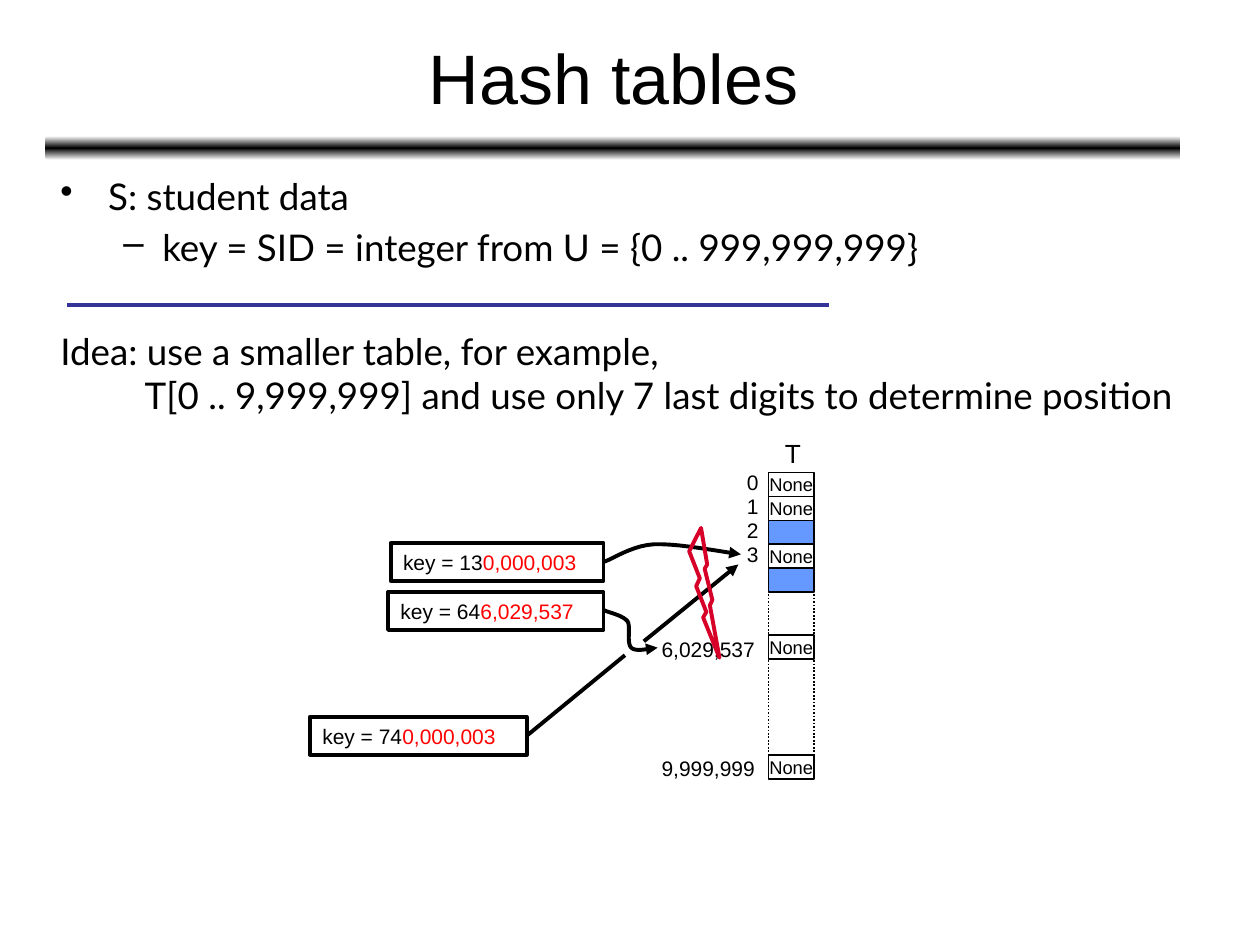
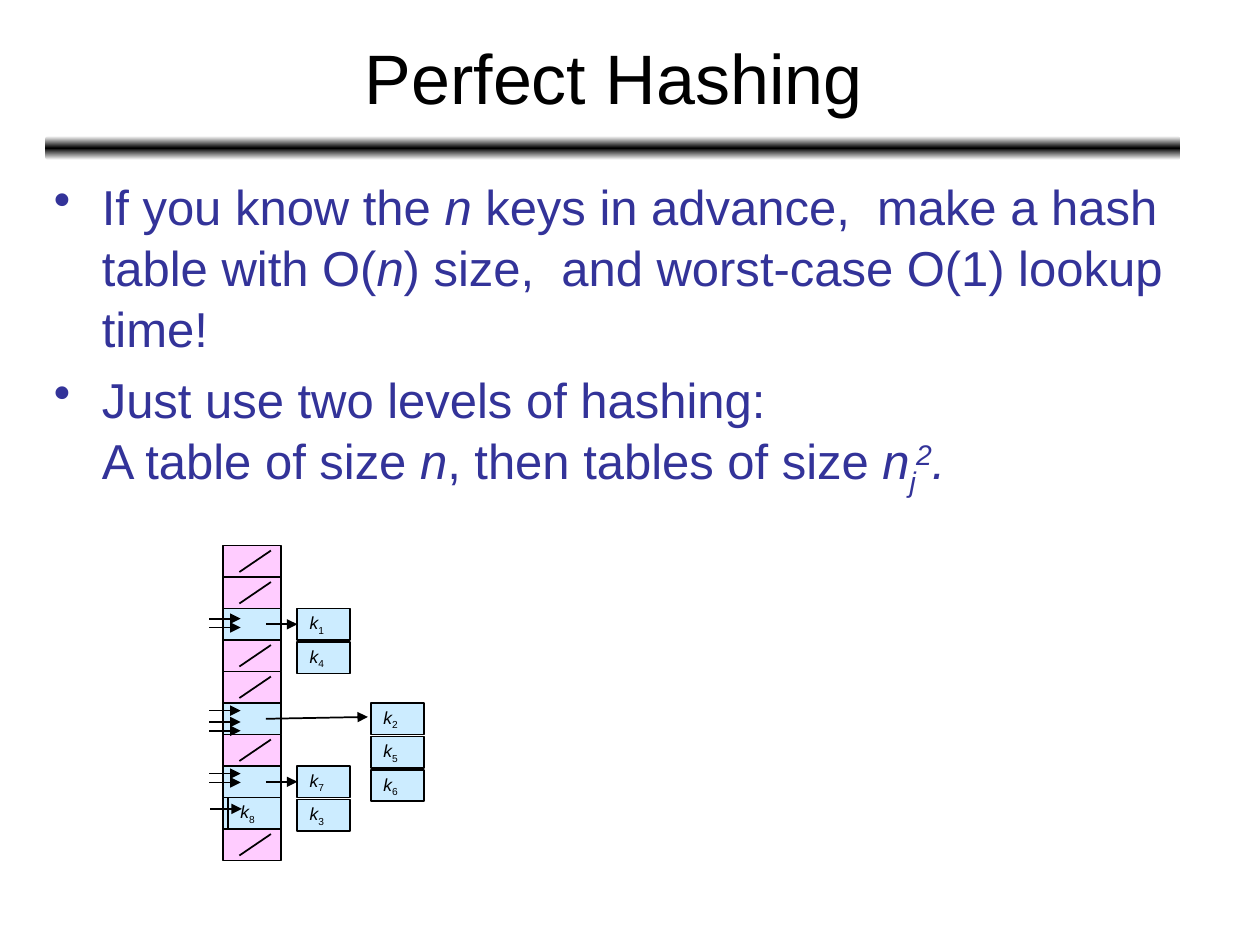
"""Build two slides on hash tables and perfect hashing, laid out on a 100 by 75 grid."""
from copy import deepcopy
from dataclasses import dataclass
from typing import NamedTuple, Optional

from lxml import etree
from pptx import Presentation
from pptx import util as u
from pptx.dml.color import RGBColor
from pptx.enum import dml, shapes, text
from pptx.oxml.ns import qn

COLUMNS = 100
WIDTH, HEIGHT = u.Inches(10), u.Inches(7.5)
TITLE_ONLY = 5


@dataclass(frozen=True)
class Theme:
    """Colours, fonts, type sizes and line widths shared by the slides."""
    ink: str = "000000"
    paper: str = "FFFFFF"
    indigo: str = "333399"
    digits: str = "FF0000"
    bolt: str = "D60029"
    occupied: str = "6699FF"
    empty: str = "FFCCFF"
    used: str = "CCECFF"
    sans: str = "Arial"
    humanist: str = "Lato"
    title: float = 40
    points: float = 28
    idea: float = 21
    heading: float = 15
    label: float = 12
    slot: float = 10.5
    key: float = 10
    thin: float = 1
    thick: float = 2.25


THEME = Theme()


class Box(NamedTuple):
    """A rectangle in grid columns and rows."""
    left: float
    top: float
    width: float
    height: float


class Point(NamedTuple):
    """A place in grid columns and rows."""
    x: float
    y: float


class Style(NamedTuple):
    """The look of a run of text."""
    size: float
    color: str = THEME.ink
    font: str = THEME.sans


class Run(NamedTuple):
    """A piece of text with its deviations from the paragraph's style."""
    words: str
    color: Optional[str] = None
    italic: bool = False
    baseline: int = 0


class Para(NamedTuple):
    """A paragraph with its indents in columns and its spacing in points."""
    runs: list
    margin: float = 0
    hang: float = 0
    bullet: str = ""
    before: float = 0
    spacing: float = 1.0


class Slot(NamedTuple):
    """A cell of table T, placed in slot heights below the first."""
    row: float
    value: str
    index: str


class KeyCard(NamedTuple):
    """A key whose last seven digits give the position."""
    box: Box
    prefix: str
    suffix: str


class Bucket(NamedTuple):
    """A used row of the first-level table with its second-level keys."""
    row: int
    left: float
    keys: str
    arrivals: tuple
    arrival_x: float = 16.6
    pointer_end: Optional[Point] = None


SLOT = Box(61, 37.5, 3.6, 1.9)
SLOTS = [Slot(0, "None", "0"), Slot(1, "None", "1"), Slot(2, "", "2"),
         Slot(3, "None", "3"), Slot(4, "", ""), Slot(6.79, "None", "6,029,537"),
         Slot(11.79, "None", "9,999,999")]
CARDS = [KeyCard(Box(30.8, 47, 17.1, 3), "64", "6,029,537"),
         KeyCard(Box(31, 43.1, 16.9, 3), "13", "0,000,003"),
         KeyCard(Box(24.6, 56.9, 17.2, 3), "74", "0,000,003")]
CURVES = [
    [Point(47.9, 48.4), Point(48.2, 48.6), Point(49.4, 48.8), Point(49.8, 49.3),
     Point(50.1, 49.7), Point(49.7, 51), Point(50.1, 51.4),
     Point(50.5, 51.8), Point(51.7, 51.4), Point(52.2, 51.4)],
    [Point(47.9, 44.6), Point(48.6, 44.4), Point(50.1, 43.3), Point(51.9, 43.2),
     Point(53.7, 43.1), Point(57.3, 43.8), Point(58.8, 44)]]

FIRST_LEVEL = Box(17.7, 43.3, 4.6, 2.5)
FIRST_LEVEL_ROWS = 10
KEY_WIDTH, KEY_PITCH = 4.2, 2.65
BUCKETS = [Bucket(2, 23.6, "14", (49.1, 49.8)),
           Bucket(5, 29.45, "256", (56.4, 57.3, 58), pointer_end=Point(29.2, 56.9)),
           Bucket(7, 23.6, "73", (61.4, 62.1)),
           Bucket(8, 18.1, "8", (64.2,), 16.7)]


def grid(length: float) -> int:
    """Turn grid units into EMU."""
    return round(length * WIDTH / COLUMNS)


def place(box: Box) -> list[int]:
    """Turn a grid box into left, top, width and height in EMU."""
    return [grid(length) for length in box]


def write(frame, paras: list[Para], style: Style, align=None, anchor=text.MSO_ANCHOR.TOP,
          wrap: bool = True, insets: tuple = (1, 0.5)) -> None:
    """Fill a text frame, run by run."""
    frame.word_wrap, frame.auto_size = wrap, text.MSO_AUTO_SIZE.NONE
    frame.vertical_anchor = anchor
    frame.margin_left = frame.margin_right = grid(insets[0])
    frame.margin_top = frame.margin_bottom = grid(insets[1])
    for number, para in enumerate(paras):
        line = frame.add_paragraph() if number else frame.paragraphs[0]
        line.alignment = align or text.PP_ALIGN.LEFT
        line.line_spacing, line.space_before = para.spacing, u.Pt(para.before)
        properties = line._p.get_or_add_pPr()
        properties.set("marL", str(grid(para.margin)))
        properties.set("indent", str(grid(para.hang)))
        if para.bullet:
            etree.SubElement(properties, qn("a:buChar")).set("char", para.bullet)
        for piece in para.runs:
            if piece.words == "\n":
                line.add_line_break()
                continue
            run = line.add_run()
            run.text = piece.words
            run.font.name, run.font.size = style.font, u.Pt(style.size)
            run.font.italic = piece.italic
            run.font.color.rgb = RGBColor.from_string(piece.color or style.color)
            if piece.baseline:
                run._r.get_or_add_rPr().set("baseline", str(piece.baseline * 1000))


def add_text(slide, box: Box, paras: list[Para], style: Style, **options) -> None:
    """Add a text box."""
    write(slide.shapes.add_textbox(*place(box)).text_frame, paras, style, **options)


def outline(shape, color: str, width: float, arrow: bool = False) -> None:
    """Set a line's colour and width and, if wanted, its arrowhead."""
    shape.line.color.rgb = RGBColor.from_string(color)
    shape.line.width = u.Pt(width)
    if arrow:
        line = shape.element.spPr.find(qn("a:ln"))
        etree.SubElement(line, qn("a:tailEnd")).set("type", "triangle")


def add_preset(slide, box: Box, fill: Optional[str] = None, color: str = THEME.ink,
               width: float = THEME.thin, kind=shapes.MSO_SHAPE.RECTANGLE):
    """Add an outlined preset shape without a shadow."""
    shape = slide.shapes.add_shape(kind, *place(box))
    shape.shadow.inherit = False
    if fill:
        shape.fill.solid()
        shape.fill.fore_color.rgb = RGBColor.from_string(fill)
    else:
        shape.fill.background()
    outline(shape, color, width)
    return shape


def add_line(slide, start: Point, end: Point, color: str = THEME.ink,
             width: float = THEME.thin, arrow: bool = False, dotted: bool = False):
    """Add a straight connector without a shadow."""
    line = slide.shapes.add_connector(shapes.MSO_CONNECTOR.STRAIGHT,
                                      *(grid(length) for length in (*start, *end)))
    if dotted:
        line.line.dash_style = dml.MSO_LINE.ROUND_DOT
    outline(line, color, width, arrow)
    etree.SubElement(line.element.spPr, qn("a:effectLst"))
    return line


def add_curve(slide, controls: list[Point], steps: int = 10) -> None:
    """Draw a chain of cubic curves that ends in an arrowhead."""
    trail = []
    for first in range(0, len(controls) - 1, 3):
        a, b, c, d = controls[first:first + 4]
        for step in range(1, steps + 1):
            t = step / steps
            weights = ((1 - t) ** 3, 3 * t * (1 - t) ** 2, 3 * t * t * (1 - t), t ** 3)
            trail.append(tuple(grid(sum(w * p[axis] for w, p in zip(weights, (a, b, c, d))))
                               for axis in (0, 1)))
    builder = slide.shapes.build_freeform(grid(controls[0].x), grid(controls[0].y))
    builder.add_line_segments(trail, close=False)
    curve = builder.convert_to_shape()
    curve.shadow.inherit = False
    curve.fill.background()
    outline(curve, THEME.ink, THEME.thick, arrow=True)


def start_slide(deck, heading: str):
    """Add a slide with the shared band and title."""
    slide = deck.slides.add_slide(deck.slide_layouts[TITLE_ONLY])
    title = slide.shapes.title
    title.left, title.top, title.width, title.height = place(Box(3.7, 1.1, 90, 9.9))
    write(title.text_frame, [Para([Run(heading)])], Style(THEME.title),
          text.PP_ALIGN.CENTER, text.MSO_ANCHOR.MIDDLE)
    band = add_preset(slide, Box(3.6, 10.8, 90.1, 1.9),
                      kind=shapes.MSO_SHAPE.ROUNDED_RECTANGLE)
    band.line.fill.background()
    band.fill.gradient()
    band.fill.gradient_angle = 90
    stops = band.element.spPr.find(qn("a:gradFill")).find(qn("a:gsLst"))
    stops.append(deepcopy(stops[-1]))
    for stop, color, position in zip(band.fill.gradient_stops,
                                     (THEME.paper, THEME.ink, THEME.paper), (0, 0.5, 1)):
        stop.color.rgb, stop.position = RGBColor.from_string(color), position
    return slide


def build_hash_tables(deck) -> None:
    """Show keys that are mapped to table T by their last digits."""
    slide = start_slide(deck, "Hash tables")
    add_text(slide, Box(3.8, 13.3, 94.2, 55.5), [
        Para([Run("S: student data")], 3.8, -3.8, "•", 4.2),
        Para([Run("key = SID = integer from U = {0 .. 999,999,999}")], 8.1, -3.1, "–", 4.2),
        Para([Run("Idea: use a smaller table, for example,")], before=33.7),
        Para([Run("T[0 .. 9,999,999] and use only 7 last digits to determine position")], 6.7),
    ], Style(THEME.idea, font=THEME.humanist))
    add_line(slide, Point(5.3, 24.2), Point(65.8, 24.2), THEME.indigo, THEME.thick)

    add_text(slide, Box(61.3, 34.2, 2.9, 3.5), [Para([Run("T")])], Style(THEME.heading))
    for side in (SLOT.left, SLOT.left + SLOT.width):
        add_line(slide, Point(side, 46.6), Point(side, 60.3), dotted=True)
    for slot in SLOTS:
        top = SLOT.top + slot.row * SLOT.height
        cell = add_preset(slide, SLOT._replace(top=top),
                          THEME.paper if slot.value else THEME.occupied)
        if slot.value:
            write(cell.text_frame, [Para([Run(slot.value)])], Style(THEME.slot),
                  text.PP_ALIGN.CENTER, text.MSO_ANCHOR.MIDDLE, False, (0, 0))
        if slot.index:
            inset, rise = (1, 0.4) if len(slot.index) > 1 else (0.7, 0.7)
            add_text(slide, Box(51, top - rise, 9.9, 3), [Para([Run(slot.index)])],
                     Style(THEME.label), align=text.PP_ALIGN.RIGHT, insets=(inset, 0.5))

    for card in CARDS:
        frame = add_preset(slide, card.box, width=THEME.thick)
        write(frame.text_frame, [Para([Run(f"key = {card.prefix}"),
                                       Run(card.suffix, THEME.digits)])], Style(THEME.label))
    for controls in CURVES:
        add_curve(slide, controls)
    colliding = add_line(slide, Point(41.8, 58.4), Point(49.6, 52), width=THEME.thick)
    colliding.begin_connect(frame, 3)
    add_line(slide, Point(51.1, 50.9), Point(58.6, 44.8), width=THEME.thick, arrow=True)
    add_preset(slide, Box(54.7, 41.9, 2.4, 10.3), None, THEME.bolt, THEME.thick,
               shapes.MSO_SHAPE.LIGHTNING_BOLT)


def build_perfect_hashing(deck) -> None:
    """Show the two levels of tables."""
    slide = start_slide(deck, "Perfect Hashing")
    n = Run("n", italic=True)
    points = [[Run("If you know the "), n, Run(" keys in advance,  make a hash table with O("),
               n, Run(") size,  and worst-case O(1) lookup time!")],
              [Run("Just use two levels of hashing:"), Run("\n"), Run("A table of size "), n,
               Run(", then tables of size "), n, Run("j", italic=True, baseline=-25),
               Run("2", italic=True, baseline=30), Run(".", italic=True)]]
    add_text(slide, Box(3.3, 13.3, 92.5, 57.5),
             [Para(runs, 3.8, -3.8, "•", 5.6, 1.04) for runs in points],
             Style(THEME.points, THEME.indigo))

    used_rows = {bucket.row for bucket in BUCKETS}
    for row in range(FIRST_LEVEL_ROWS):
        top = FIRST_LEVEL.top + row * FIRST_LEVEL.height
        add_preset(slide, FIRST_LEVEL._replace(top=top),
                   THEME.used if row in used_rows else THEME.empty)
        if row not in used_rows:
            add_line(slide, Point(21.5, top + 0.4), Point(19, top + 2.1))

    for bucket in BUCKETS:
        top = FIRST_LEVEL.top + bucket.row * FIRST_LEVEL.height
        cells = []
        for place_in_stack, key in enumerate(bucket.keys):
            cell = add_preset(slide, Box(bucket.left, top + place_in_stack * KEY_PITCH,
                                         KEY_WIDTH, FIRST_LEVEL.height), THEME.used)
            write(cell.text_frame, [Para([Run("k", italic=True), Run(key, baseline=-25)])],
                  Style(THEME.key), anchor=text.MSO_ANCHOR.MIDDLE, wrap=False)
            cells.append(cell)
        if bucket.left > FIRST_LEVEL.left + FIRST_LEVEL.width:
            middle = top + FIRST_LEVEL.height / 2
            pointer = add_line(slide, Point(21.1, middle),
                               bucket.pointer_end or Point(bucket.left, middle), arrow=True)
            if not bucket.pointer_end:
                pointer.end_connect(cells[0], 1)
        for y in bucket.arrivals:
            add_line(slide, Point(bucket.arrival_x, y), Point(bucket.arrival_x + 2.5, y),
                     arrow=True)


def main() -> None:
    """Build and save the deck."""
    deck = Presentation()
    deck.slide_width, deck.slide_height = WIDTH, HEIGHT
    build_hash_tables(deck)
    build_perfect_hashing(deck)
    deck.save("out.pptx")


if __name__ == "__main__":
    main()
